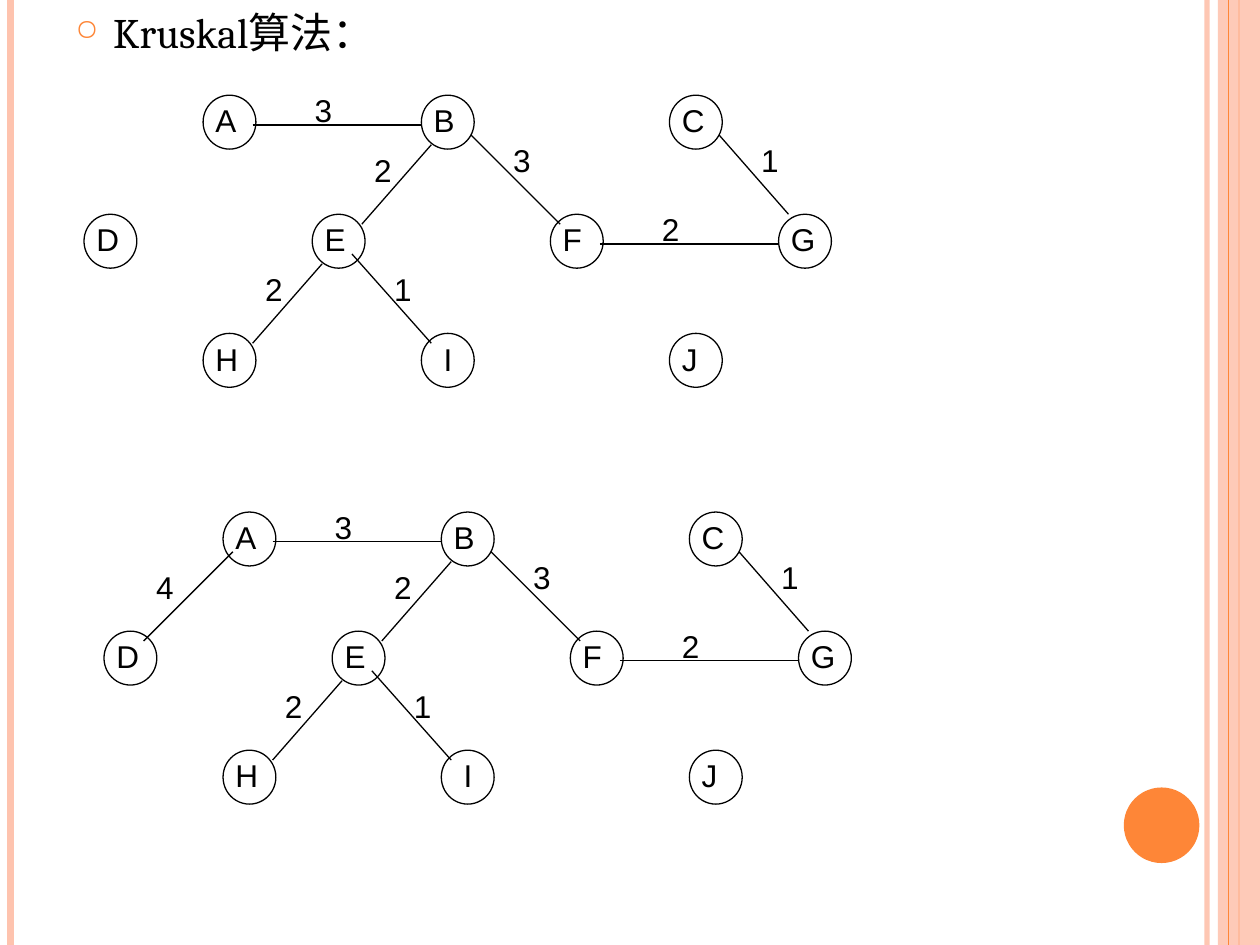
from dataclasses import dataclass

from lxml.etree import SubElement
from pptx import Presentation
from pptx.dml.color import RGBColor
from pptx.enum.shapes import MSO_CONNECTOR, MSO_SHAPE
from pptx.oxml.ns import qn
from pptx.util import Pt


@dataclass(frozen=True)
class Theme:
    """Colours, fonts, type sizes and line width of the slide."""
    ink: str = "000000"
    accent: str = "FE8637"
    tint: str = "FEC3AE"
    title_font: str = "Cambria"
    label_font: str = "Arial"
    title_size: float = 24
    label_size: float = 18
    hairline: float = 0.75


STEP = 5.67
NODES = {
    "D": (0, 12, 5), "A": (12, 0, 6), "H": (12, 24, 7), "E": (23, 12, 5),
    "B": (34, 0, 7), "I": (34, 24, 8), "F": (47, 12, 8), "C": (59, 0, 7),
    "J": (59, 24, 7), "G": (70, 12, 6),
}
LABEL_SHIFT = {"I": 1}
EDGES = [
    ("1", (27, 16), (35, 25), (30, 17, 6)),
    ("2", (24, 17), (17, 25), (17, 17, 4)),
    ("2", (28, 13), (35, 5), (28, 5, 3)),
    ("2", (52, 15), (70, 15), (57, 11, 6)),
    ("1", (64, 4), (71, 12), (67, 4, 4)),
    ("3", (17, 3), (34, 3), (22, -1, 8)),
    ("3", (39, 4), (48, 13), (42, 4, 5)),
]
EDGE_A_D = ("4", (4, 13), (13, 4), (4, 5, 6))


class SlideBuilder:
    """Draws styled elements on the current slide."""

    def __init__(self, page, theme):
        self.page = page
        self.theme = theme

    def line(self, start, end, color, width, alpha=100, shapes=None):
        """Draw a straight line between two points."""
        connector = (shapes or self.page.shapes).add_connector(
            MSO_CONNECTOR.STRAIGHT, *map(Pt, (*start, *end)))
        connector.line.color.rgb = RGBColor.from_string(color)
        connector.line.width = Pt(width)
        self.fade(connector, alpha)
        SubElement(connector._element.spPr, qn("a:effectLst"))

    def fade(self, shape, alpha):
        """Set the opacity of a shape's only colour, in percent."""
        if alpha < 100:
            color = next(shape._element.spPr.iter(qn("a:srgbClr")))
            SubElement(color, qn("a:alpha"), val=str(alpha * 1000))

    def shape(self, kind, left, top, width, height, fill=None, alpha=100, shapes=None):
        """Draw a filled shape without outline, or an outlined one without fill."""
        shape = (shapes or self.page.shapes).add_shape(
            kind, *map(Pt, (left, top, width, height)))
        shape.shadow.inherit = False
        if fill:
            shape.fill.solid()
            shape.fill.fore_color.rgb = RGBColor.from_string(fill)
            shape.line.fill.background()
            self.fade(shape, alpha)
        else:
            shape.fill.background()
            shape.line.color.rgb = RGBColor.from_string(self.theme.ink)
            shape.line.width = Pt(self.theme.hairline)

    def text(self, words, left, top, width, height, font, size, bullet=False, shapes=None):
        """Place one paragraph of text, with a ring bullet if asked."""
        box = (shapes or self.page.shapes).add_textbox(
            *map(Pt, (left, top, width, height)))
        box.text_frame.word_wrap = True
        paragraph = box.text_frame.paragraphs[0]
        paragraph.text = words
        if bullet:
            self.bullet(paragraph)
        paragraph.font.name = font
        paragraph.font.size = Pt(size)
        paragraph.font.color.rgb = RGBColor.from_string(self.theme.ink)

    def bullet(self, paragraph):
        """Give a paragraph a hanging ring bullet in the accent colour."""
        properties = paragraph._p.get_or_add_pPr()
        properties.set("marL", str(Pt(21.6)))
        properties.set("indent", str(-Pt(21.6)))
        color = SubElement(properties, qn("a:buClr"))
        SubElement(color, qn("a:srgbClr"), val=self.theme.accent)
        SubElement(properties, qn("a:buSzPct"), val="70000")
        SubElement(properties, qn("a:buChar"), char="○")

    def label(self, words, left, top, width, shapes):
        """Place a node or weight label."""
        self.text(words, left, top, width, 28.8, self.theme.label_font,
                  self.theme.label_size, shapes=shapes)

    def graph(self, left, top, edges):
        """Draw the nodes and weighted edges as one group."""
        shapes = self.page.shapes.add_group_shape().shapes

        def place(column, row):
            return left + column * STEP, top + row * STEP

        for column, row, _ in NODES.values():
            self.shape(MSO_SHAPE.OVAL, *place(column, row), 30.2, 30.8, shapes=shapes)
        for name, (column, row, width) in NODES.items():
            column += LABEL_SHIFT.get(name, 0)
            self.label(name, *place(column, row), width * STEP, shapes)
        for weight, start, end, (column, row, width) in edges:
            self.line(place(*start), place(*end), self.theme.ink,
                      self.theme.hairline, shapes=shapes)
            self.label(weight, *place(column, row), width * STEP, shapes)

    def frame(self):
        """Draw the side stripes and the corner disc."""
        theme = self.theme

        def stripe(x, color, width, alpha=100):
            self.line((x, 0), (x, 540), color, width, alpha)

        stripe(689.8, theme.tint, 3, 93)
        stripe(6, theme.tint, 4.5)
        stripe(708, theme.accent, 1.5)
        self.shape(MSO_SHAPE.RECTANGLE, 696, 0, 24, 540, theme.tint, 87)
        stripe(702, theme.accent, theme.hairline)
        self.shape(MSO_SHAPE.OVAL, 642.2, 450, 43.2, 43.2, theme.accent)


def main():
    """Build the Kruskal slide."""
    deck = Presentation()
    deck.slide_width, deck.slide_height = Pt(720), Pt(540)
    theme = Theme()
    builder = SlideBuilder(deck.slides.add_slide(deck.slide_layouts[6]), theme)
    builder.frame()
    builder.text("Kruskal算法：", 36, 0, 648, 482.4, theme.title_font,
                 theme.title_size, bullet=True)
    builder.graph(48, 54.4, EDGES)
    builder.graph(59.4, 292.6, [*EDGES, EDGE_A_D])
    deck.save("out.pptx")


if __name__ == "__main__":
    main()
